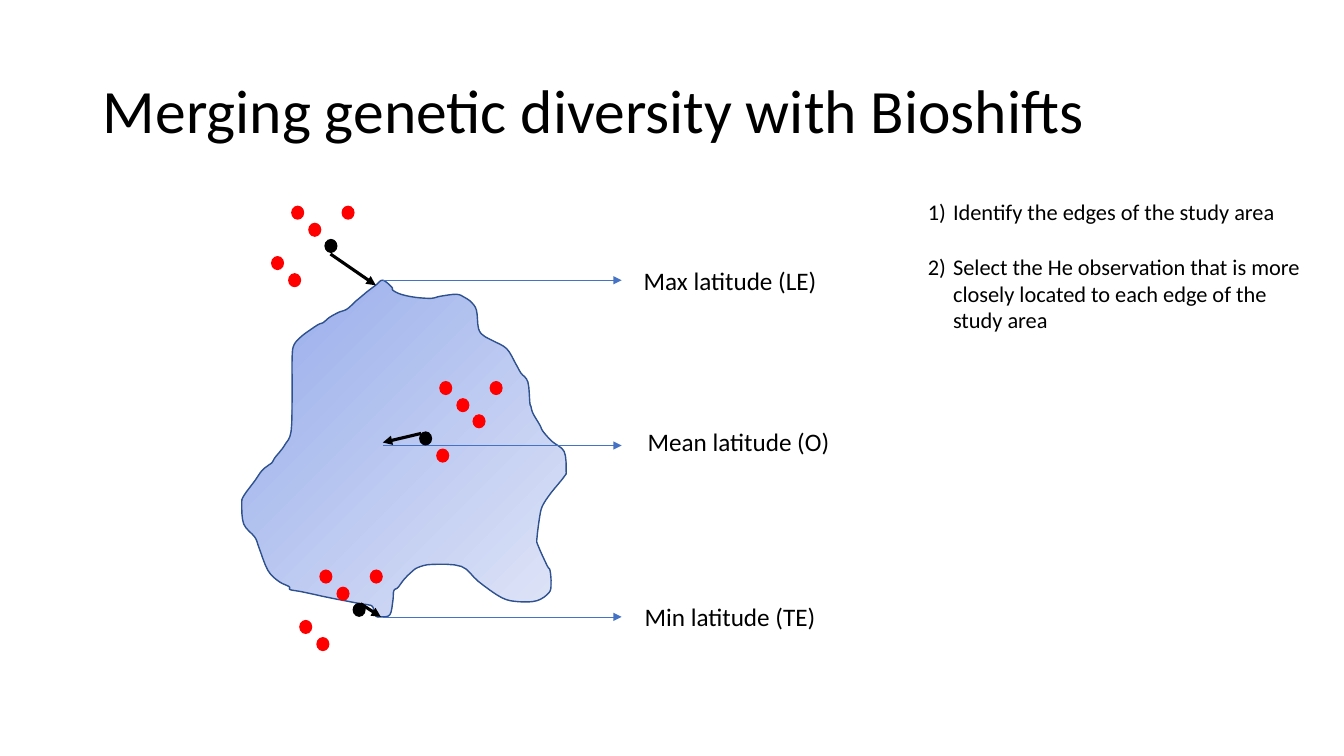
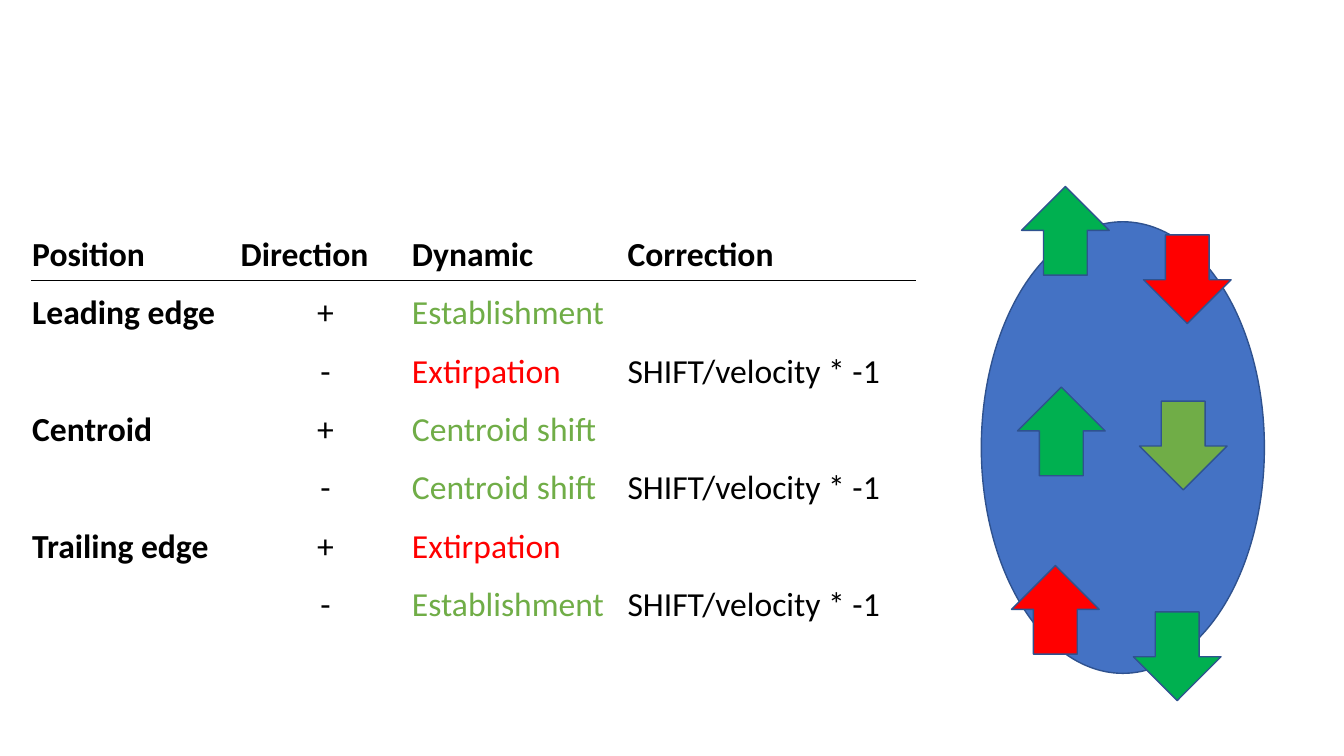
from lxml.etree import SubElement
from pptx import Presentation
from pptx.dml.color import RGBColor
from pptx.enum.shapes import MSO_CONNECTOR, MSO_SHAPE as SHAPE
from pptx.enum.text import MSO_ANCHOR as ANCHOR, MSO_AUTO_SIZE as AUTO_SIZE, PP_ALIGN as ALIGN
from pptx.oxml.ns import qn
from pptx.util import Inches, Pt

FONT = "Calibri"
BLACK, RED, GREEN, LEAF = "000000", "FF0000", "00B050", "70AD47"
BLUE, NAVY = "4472C4", "2F528F"
PLAIN_TABLE = "{2D5ABB26-0587-4C30-8999-92F81FD0307C}"

AREA_OUTLINE = [
    (3.51, 3.01), (3.44, 3.07), (3.36, 3.1), (3.27, 3.15), (3.21, 3.2), (3.16, 3.22),
    (3.07, 3.28), (2.99, 3.34), (2.92, 3.42), (2.9, 3.54), (2.9, 3.9), (2.89, 4.28),
    (2.83, 4.41), (2.78, 4.48), (2.73, 4.54), (2.7, 4.59), (2.66, 4.62), (2.6, 4.67),
    (2.53, 4.77), (2.42, 4.92), (2.4, 5), (2.42, 5.2), (2.53, 5.33), (2.57, 5.43),
    (2.66, 5.66), (2.77, 5.77), (2.87, 5.82), (2.88, 5.85), (2.99, 5.87), (3.13, 5.9),
    (3.22, 5.92), (3.37, 5.95), (3.58, 5.99), (3.65, 6), (3.7, 6.02), (3.73, 6.11),
    (3.78, 6.12), (3.87, 6.1), (3.9, 5.96), (3.91, 5.86), (3.95, 5.83), (4.01, 5.75),
    (4.08, 5.68), (4.15, 5.63), (4.29, 5.6), (4.58, 5.62), (4.75, 5.77), (4.98, 5.93),
    (5.15, 5.97), (5.33, 5.96), (5.45, 5.88), (5.47, 5.79), (5.46, 5.66), (5.43, 5.61),
    (5.34, 5.41), (5.33, 5.34), (5.36, 5.11), (5.39, 5.01), (5.47, 4.89), (5.6, 4.73),
    (5.62, 4.67), (5.6, 4.48), (5.48, 4.38), (5.39, 4.28), (5.36, 4.22), (5.29, 4.1),
    (5.27, 4.03), (5.26, 4), (5.24, 3.79), (5.17, 3.7), (5.12, 3.61), (5.03, 3.46),
    (4.89, 3.38), (4.8, 3.33), (4.75, 3.26), (4.73, 3.08), (4.68, 3), (4.61, 2.95),
    (4.53, 2.92), (4.37, 2.94), (4.28, 2.96), (4.12, 2.95), (3.98, 2.92), (3.9, 2.88),
    (3.89, 2.85), (3.8, 2.78), (3.73, 2.83), (3.65, 2.89), (3.59, 2.94), (3.53, 2.99),
]
DOT_OFFSETS = [(0, 0), (0.17, 0.17), (0.33, 0.33), (-0.2, 0.5), (-0.03, 0.67), (0.5, 0)]
CLUSTERS = [(3.17, 5.65, 2), (2.89, 2.04, 2), (4.36, 3.78, 3)]
LATITUDES = [
    ("Max latitude (LE)", 2.78, (6.29, 2.58, 2.2)),
    ("Min latitude (TE)", 6.12, (6.3, 5.92, 2.2)),
    ("Mean latitude (O)", 4.42, (6.33, 4.18, 2.2)),
]
NEAREST_LINKS = [
    ((3.28, 2.52), (3.73, 2.83)),
    ((4.18, 4.3), (3.8, 4.39)),
    ((3.58, 5.99), (3.78, 6.12)),
]
STEPS = [
    "Identify the edges of the study area",
    "Select the He observation that is more closely located to each edge of the study area",
]

COLUMN_WIDTHS = [2.07, 1.7, 2.14, 2.87]
FLIP = "SHIFT/velocity * -1"
DYNAMICS = [
    ("Position", "Direction", "Dynamic", "Correction"),
    ("Leading edge", "+", "Establishment", ""),
    ("", "-", "Extirpation", FLIP),
    ("Centroid", "+", "Centroid shift", ""),
    ("", "-", "Centroid shift", FLIP),
    ("Trailing edge", "+", "Extirpation", ""),
    ("", "-", "Establishment", FLIP),
]
DYNAMIC_COLORS = {"Establishment": LEAF, "Centroid shift": LEAF, "Extirpation": RED}
SHIFT_ARROWS = [
    (10.14, 1.85, GREEN, 2.33, RED),
    (10.04, 5.61, RED, 6.07, GREEN),
    (10.1, 3.84, GREEN, 3.98, LEAF),
]


def rgb(code):
    return RGBColor.from_string(code)


def place(shape, left, top, width, height):
    shape.left, shape.top = Inches(left), Inches(top)
    shape.width, shape.height = Inches(width), Inches(height)


def format_text(paragraph, size, color=BLACK, bold=False):
    for run in paragraph.runs:
        run.font.name, run.font.size, run.font.bold = FONT, Pt(size), bold
        run.font.color.rgb = rgb(color)


def outline(shape, color, width):
    shape.line.color.rgb = rgb(color)
    shape.line.width = Pt(width)


def add_figure(slide, preset, left, top, width, height, color, edge=None):
    figure = slide.shapes.add_shape(
        preset, Inches(left), Inches(top), Inches(width), Inches(height))
    figure.shadow.inherit = False
    figure.fill.solid()
    figure.fill.fore_color.rgb = rgb(color)
    if edge:
        outline(figure, edge, 1)
    else:
        figure.line.fill.background()


def add_arrow(slide, start, end, color, width):
    arrow = slide.shapes.add_connector(
        MSO_CONNECTOR.STRAIGHT, *(Inches(value) for value in (*start, *end)))
    outline(arrow, color, width)
    properties = arrow.element.spPr
    SubElement(properties.find(qn("a:ln")), qn("a:tailEnd"), type="triangle")
    SubElement(properties, qn("a:effectLst"))


def add_label(slide, text, left, top, width):
    frame = slide.shapes.add_textbox(
        Inches(left), Inches(top), Inches(width), Inches(0.4)).text_frame
    frame.word_wrap = True
    frame.text = text
    format_text(frame.paragraphs[0], 18)


def smooth_loop(points, steps=4):
    count = len(points)
    for index in range(count):
        before, start, end, after = (points[(index + shift) % count] for shift in (-1, 0, 1, 2))
        for t in (step / steps for step in range(steps)):
            yield tuple(
                Inches(b + (c - a) * t / 2 + (2 * a - 5 * b + 4 * c - d) * t**2 / 2
                       + (3 * b - a - 3 * c + d) * t**3 / 2)
                for a, b, c, d in zip(before, start, end, after))


def add_study_area(slide):
    first, *rest = smooth_loop(AREA_OUTLINE)
    builder = slide.shapes.build_freeform(*first)
    builder.add_line_segments(rest, close=True)
    area = builder.convert_to_shape()
    area.shadow.inherit = False
    area.fill.gradient()
    area.fill.gradient_angle = 315
    for stop, color in zip(area.fill.gradient_stops, ("95ABEA", "E0E5F7")):
        stop.color.rgb = rgb(color)
    outline(area, NAVY, 1)


def fill_title(title, text):
    place(title, 0.92, 0.4, 11.5, 1.45)
    frame = title.text_frame
    frame.auto_size = AUTO_SIZE.NONE
    frame.vertical_anchor = ANCHOR.MIDDLE
    frame.text = text
    heading = frame.paragraphs[0]
    heading.alignment, heading.line_spacing = ALIGN.LEFT, 0.9
    format_text(heading, 44)


def fill_steps(body, steps):
    place(body, 9.11, 1.92, 3.94, 1.98)
    frame = body.text_frame
    frame.auto_size = AUTO_SIZE.NONE
    frame.text = "\n".join(steps)
    for index, step in enumerate(frame.paragraphs):
        step.space_before = Pt(19.5 if index else 0)
        format_text(step, 16)
        properties = step._p.get_or_add_pPr()
        properties.set("marL", str(Inches(0.25)))
        properties.set("indent", str(-Inches(0.25)))
        SubElement(properties, qn("a:buFont"), typeface=FONT)
        SubElement(properties, qn("a:buAutoNum"), type="arabicParenR")


def add_bottom_border(cell):
    border = SubElement(cell._tc.get_or_add_tcPr(), qn("a:lnB"), w=str(Pt(0.45)))
    color = SubElement(SubElement(border, qn("a:solidFill")), qn("a:srgbClr"))
    color.set("val", BLACK)


def add_dynamics_table(slide):
    table = slide.shapes.add_table(
        len(DYNAMICS), len(COLUMN_WIDTHS), Inches(0.31), Inches(2.2),
        Inches(sum(COLUMN_WIDTHS)), Inches(0.58 * len(DYNAMICS))).table
    table.first_row = table.horz_banding = False
    table._tbl.tblPr.find(qn("a:tableStyleId")).text = PLAIN_TABLE
    for column, width in zip(table.columns, COLUMN_WIDTHS):
        column.width = Inches(width)
    for row, texts in enumerate(DYNAMICS):
        for column, text in enumerate(texts):
            cell = table.cell(row, column)
            cell.text = text
            cell.vertical_anchor = ANCHOR.BOTTOM
            cell.margin_left = cell.margin_right = Inches(0.01)
            if row == 0:
                add_bottom_border(cell)
            cell.fill.background()
            entry = cell.text_frame.paragraphs[0]
            if row and column == 1:
                entry.alignment = ALIGN.CENTER
            format_text(entry, 24, DYNAMIC_COLORS.get(text, BLACK), row == 0 or column == 0)


def build_merging_slide(deck):
    slide = deck.slides.add_slide(deck.slide_layouts[1])
    fill_title(slide.shapes.title, "Merging genetic diversity with Bioshifts")
    fill_steps(slide.placeholders[1], STEPS)
    add_study_area(slide)
    for text, latitude, label_box in LATITUDES:
        add_arrow(slide, (3.8, latitude), (6.17, latitude), BLUE, 0.5)
        add_label(slide, text, *label_box)
    for left, top, nearest in CLUSTERS:
        for index, (dx, dy) in enumerate(DOT_OFFSETS):
            color = BLACK if index == nearest else RED
            add_figure(slide, SHAPE.OVAL, left + dx, top + dy, 0.13, 0.14, color)
    for start, end in NEAREST_LINKS:
        add_arrow(slide, start, end, BLACK, 2.25)


def build_dynamics_slide(deck):
    slide = deck.slides.add_slide(deck.slide_layouts[6])
    add_dynamics_table(slide)
    add_figure(slide, SHAPE.OVAL, 9.74, 2.2, 2.81, 4.48, BLUE, NAVY)
    for left, up_top, up_color, down_top, down_color in SHIFT_ARROWS:
        add_figure(slide, SHAPE.UP_ARROW, left, up_top, 0.87, 0.88, up_color, NAVY)
        add_figure(slide, SHAPE.DOWN_ARROW, left + 1.21, down_top, 0.87, 0.88, down_color, NAVY)


def main():
    deck = Presentation()
    deck.slide_width, deck.slide_height = Inches(13.34), Inches(7.5)
    build_merging_slide(deck)
    build_dynamics_slide(deck)
    deck.save("out.pptx")


if __name__ == "__main__":
    main()
